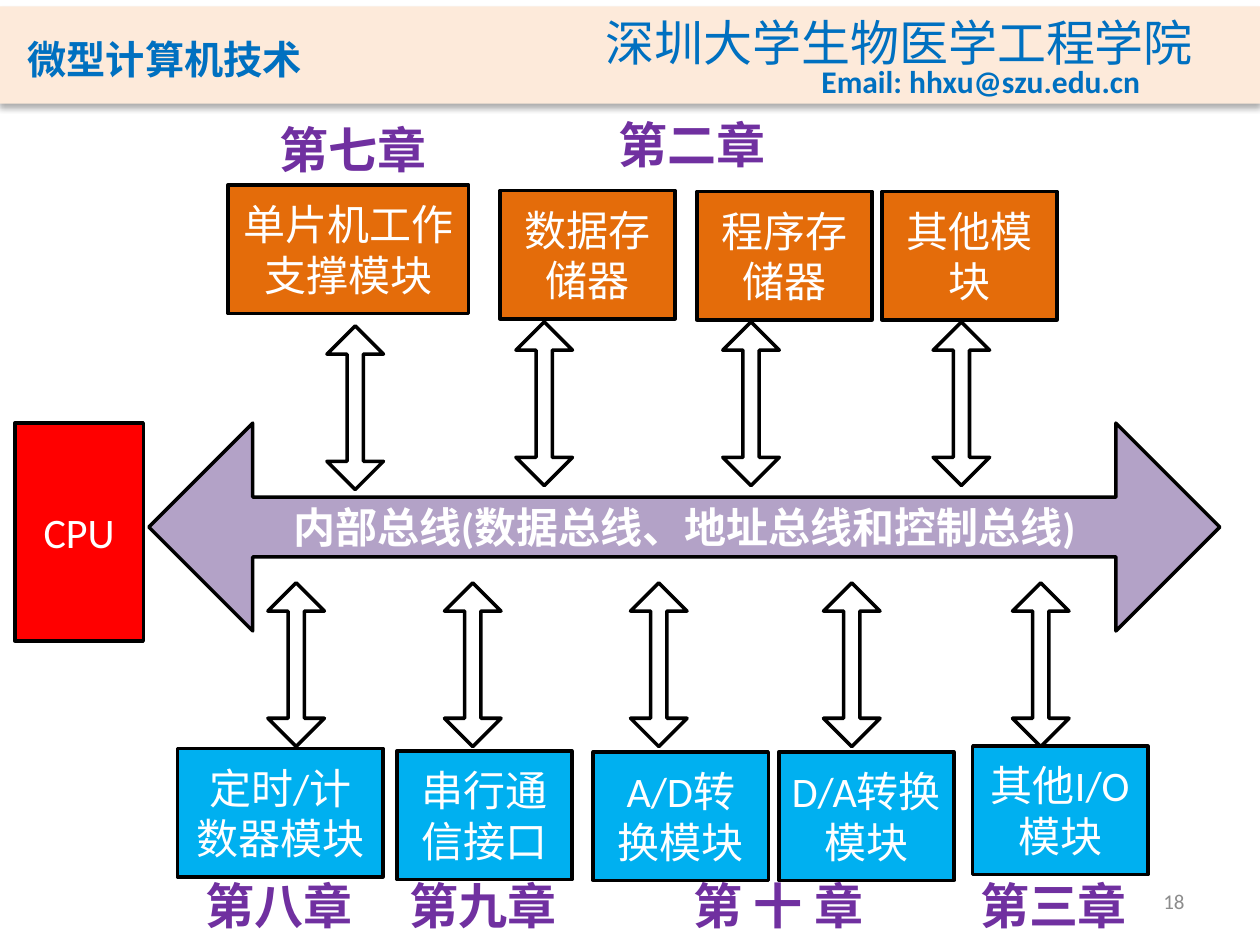
from lxml import etree
from pptx import Presentation
from pptx.dml.color import RGBColor
from pptx.enum.shapes import MSO_SHAPE
from pptx.enum.text import MSO_ANCHOR, MSO_AUTO_SIZE, PP_ALIGN
from pptx.oxml import parse_xml
from pptx.oxml.ns import nsdecls, qn
from pptx.util import Cm, Pt

RECTANGLE = MSO_SHAPE.RECTANGLE
DOUBLE_ARROW = MSO_SHAPE.LEFT_RIGHT_ARROW
TOP, MIDDLE, BOTTOM = MSO_ANCHOR.TOP, MSO_ANCHOR.MIDDLE, MSO_ANCHOR.BOTTOM
LEFT, CENTER, RIGHT = PP_ALIGN.LEFT, PP_ALIGN.CENTER, PP_ALIGN.RIGHT
NO_AUTOFIT = MSO_AUTO_SIZE.NONE

WHITE = RGBColor(0xFF, 0xFF, 0xFF)
BLACK = RGBColor(0x00, 0x00, 0x00)
CREAM = RGBColor(0xFD, 0xEA, 0xDA)
BLUE = RGBColor(0x00, 0x70, 0xC0)
GRAY = RGBColor(0x8C, 0x8C, 0x8C)
LAVENDER = RGBColor(0xB3, 0xA2, 0xC7)
RED = RGBColor(0xFF, 0x00, 0x00)
SKY = RGBColor(0x00, 0xB0, 0xF0)
ORANGE = RGBColor(0xE4, 0x6C, 0x0A)
PURPLE = RGBColor(0x70, 0x30, 0xA0)

LATIN_FONT = "Calibri"
CHINESE_FONT = "Noto Sans CJK SC"
TITLE_FONT = "Noto Sans CJK JP"

BOX_WIDTH, BOX_HEIGHT = 3.53, 2.59
ARROW_LENGTH, ARROW_BREADTH = 3.3, 1.14
LOWER_ARROW_Y = 13.4
LOWER_CHAPTER_TOP = 17.53

MEMORY_MODULES = [
    ("单片机工作支撑模块", 4.6, 3.73, 4.85),
    ("数据存储器", 10.08, 3.84, BOX_WIDTH),
    ("程序存储器", 14.05, 3.86, BOX_WIDTH),
    ("其他模块", 17.78, 3.86, BOX_WIDTH),
]
IO_MODULES = [
    ("定时/计数器模块", 3.58, 15.09, 4.14),
    ("串行通信接口", 8, 15.14, BOX_WIDTH),
    ("A/D转换模块", 11.96, 15.16, BOX_WIDTH),
    ("D/A转换模块", 15.7, 15.16, BOX_WIDTH),
    ("其他I/O模块", 19.61, 15.04, BOX_WIDTH),
]
UPPER_ARROWS = [(7.16, 8.22), (10.97, 8.14), (15.14, 8.14), (19.38, 8.14)]
LOWER_ARROWS = [(x, LOWER_ARROW_Y) for x in (5.97, 9.53, 13.28, 17.17, 20.98)]
CHAPTERS = [
    ("第八章", 3.89, LOWER_CHAPTER_TOP, 3.53),
    ("第九章", 8, LOWER_CHAPTER_TOP, 3.53),
    ("第三章", 19.51, LOWER_CHAPTER_TOP, 3.53),
    ("第 十 章", 13.74, LOWER_CHAPTER_TOP, 3.96),
    ("第七章", 5.38, 2.29, 3.53),
    ("第二章", 12.22, 2.18, 3.53),
]


def write_text(shape, text, size, color, bold=False, align=LEFT, anchor=TOP,
               latin=LATIN_FONT, chinese=CHINESE_FONT):
    text_frame = shape.text_frame
    text_frame.text = text
    text_frame.vertical_anchor = anchor
    paragraph = text_frame.paragraphs[0]
    paragraph.alignment = align
    font = paragraph.runs[0].font
    font.name = latin
    font.size = Pt(size)
    font.bold = bold
    font.color.rgb = color
    properties = paragraph.runs[0]._r.get_or_add_rPr()
    latin_element = properties.find(qn("a:latin"))
    east_asian = etree.Element(qn("a:ea"), typeface=chinese)
    latin_element.addnext(east_asian)
    return properties


def add_label(slide, text, left, top, width, height, size, color, wrap=False, **style):
    label = slide.shapes.add_textbox(Cm(left), Cm(top), Cm(width), Cm(height))
    label.text_frame.word_wrap = wrap
    write_text(label, text, size, color, **style)


def add_block(slide, kind, left, top, width, height, fill):
    block = slide.shapes.add_shape(kind, Cm(left), Cm(top), Cm(width), Cm(height))
    block.shadow.inherit = False
    block.fill.solid()
    block.fill.fore_color.rgb = fill
    block.line.color.rgb = BLACK
    block.line.width = Pt(2)
    if kind == DOUBLE_ARROW:
        block.adjustments[0] = 0.287
        block.adjustments[1] = 0.5
    return block


def add_module(slide, text, left, top, width, height, fill):
    module = add_block(slide, RECTANGLE, left, top, width, height, fill)
    write_text(module, text, 24, WHITE, align=CENTER, anchor=MIDDLE)


def add_vertical_arrow(slide, center_x, center_y):
    arrow = add_block(slide, DOUBLE_ARROW, center_x - ARROW_LENGTH / 2,
                      center_y - ARROW_BREADTH / 2, ARROW_LENGTH, ARROW_BREADTH, WHITE)
    arrow.rotation = 90


def add_header(slide):
    band = add_block(slide, RECTANGLE, 0, 0.13, 25.4, 1.96, CREAM)
    band.line.fill.background()
    properties = band._element.spPr
    properties.remove(properties.find(qn("a:effectLst")))
    properties.append(parse_xml(
        f'<a:effectLst {nsdecls("a")}>'
        f'<a:outerShdw blurRad="{Pt(3.5)}" dist="{Pt(2.2)}" dir="5400000" rotWithShape="0">'
        '<a:srgbClr val="000000"><a:alpha val="32000"/></a:srgbClr>'
        '</a:outerShdw></a:effectLst>'))

    title = slide.shapes.title
    title.left, title.top, title.width, title.height = Cm(0.3), Cm(0.41), Cm(8.61), Cm(1.42)
    title.text_frame.auto_size = NO_AUTOFIT
    run_properties = write_text(title, "微型计算机技术", 28, BLUE, bold=True, anchor=BOTTOM,
                                latin=TITLE_FONT, chinese=TITLE_FONT)
    run_properties.set("cap", "small")
    band._element.addnext(title._element)

    add_label(slide, "深圳大学生物医学工程学院", 11.96, 0.13, 12.47, 1.45, 28, BLUE,
              latin=CHINESE_FONT)
    add_label(slide, "Email: hhxu@szu.edu.cn", 16.31, 1.12, 6.99, 1.02, 18, BLUE, bold=True)


def main():
    presentation = Presentation()
    presentation.slide_width, presentation.slide_height = Cm(25.4), Cm(19.05)
    slide = presentation.slides.add_slide(presentation.slide_layouts[5])
    add_header(slide)
    add_label(slide, "18", 18.21, 17.65, 5.92, 1.02, 12, GRAY,
              wrap=True, align=RIGHT, anchor=MIDDLE)

    bus = add_block(slide, DOUBLE_ARROW, 3, 8.53, 21.59, 4.19, LAVENDER)
    write_text(bus, "内部总线(数据总线、地址总线和控制总线)", 24, WHITE, bold=True,
               align=CENTER, anchor=MIDDLE)
    add_module(slide, "CPU", 0.3, 8.53, 2.59, 4.39, RED)

    for center_x, center_y in UPPER_ARROWS + LOWER_ARROWS:
        add_vertical_arrow(slide, center_x, center_y)
    for modules, fill in ((IO_MODULES, SKY), (MEMORY_MODULES, ORANGE)):
        for text, left, top, width in modules:
            add_module(slide, text, left, top, width, BOX_HEIGHT, fill)
    for text, left, top, width in CHAPTERS:
        add_label(slide, text, left, top, width, 1.45, 28, PURPLE, bold=True)

    presentation.save("out.pptx")


if __name__ == "__main__":
    main()
